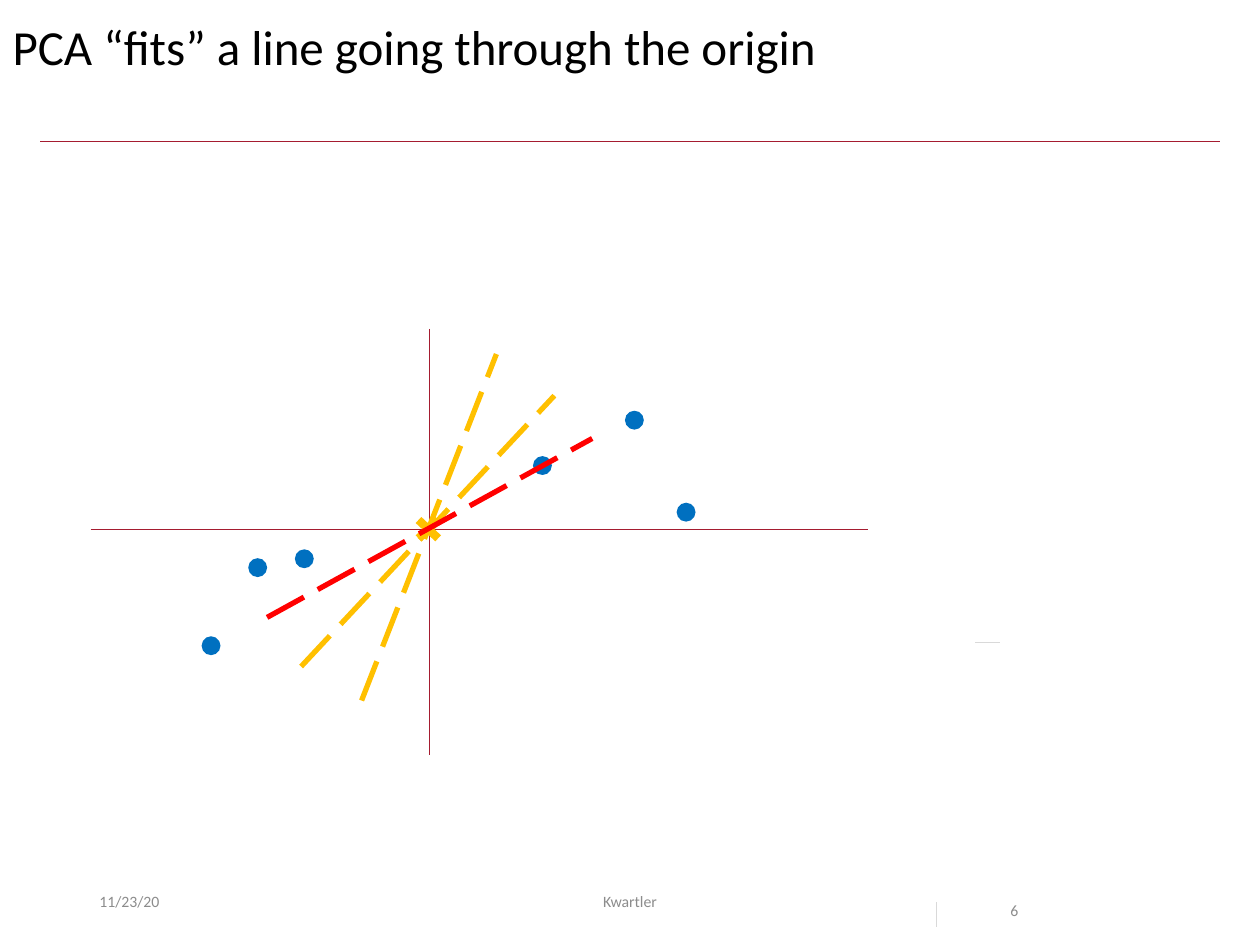
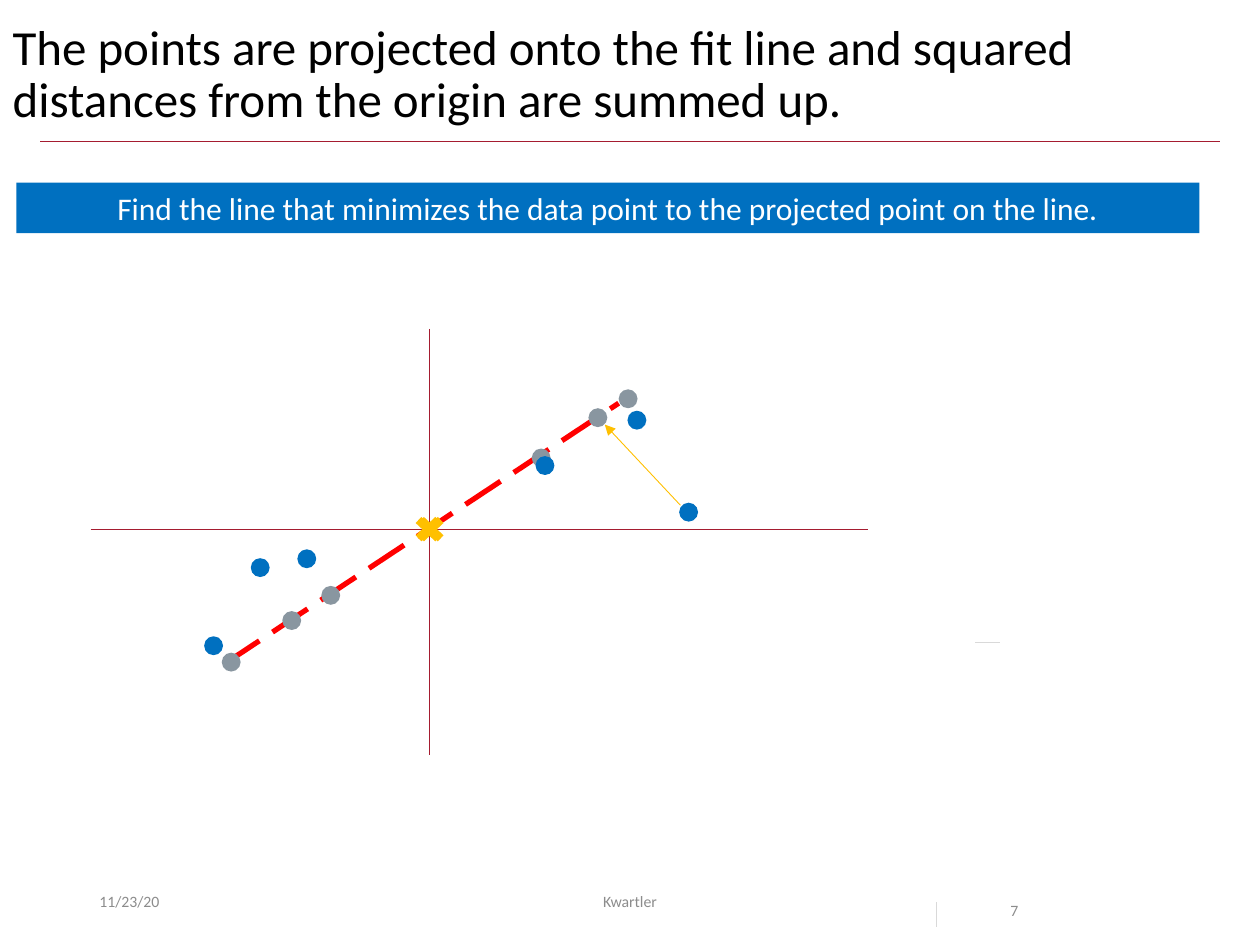
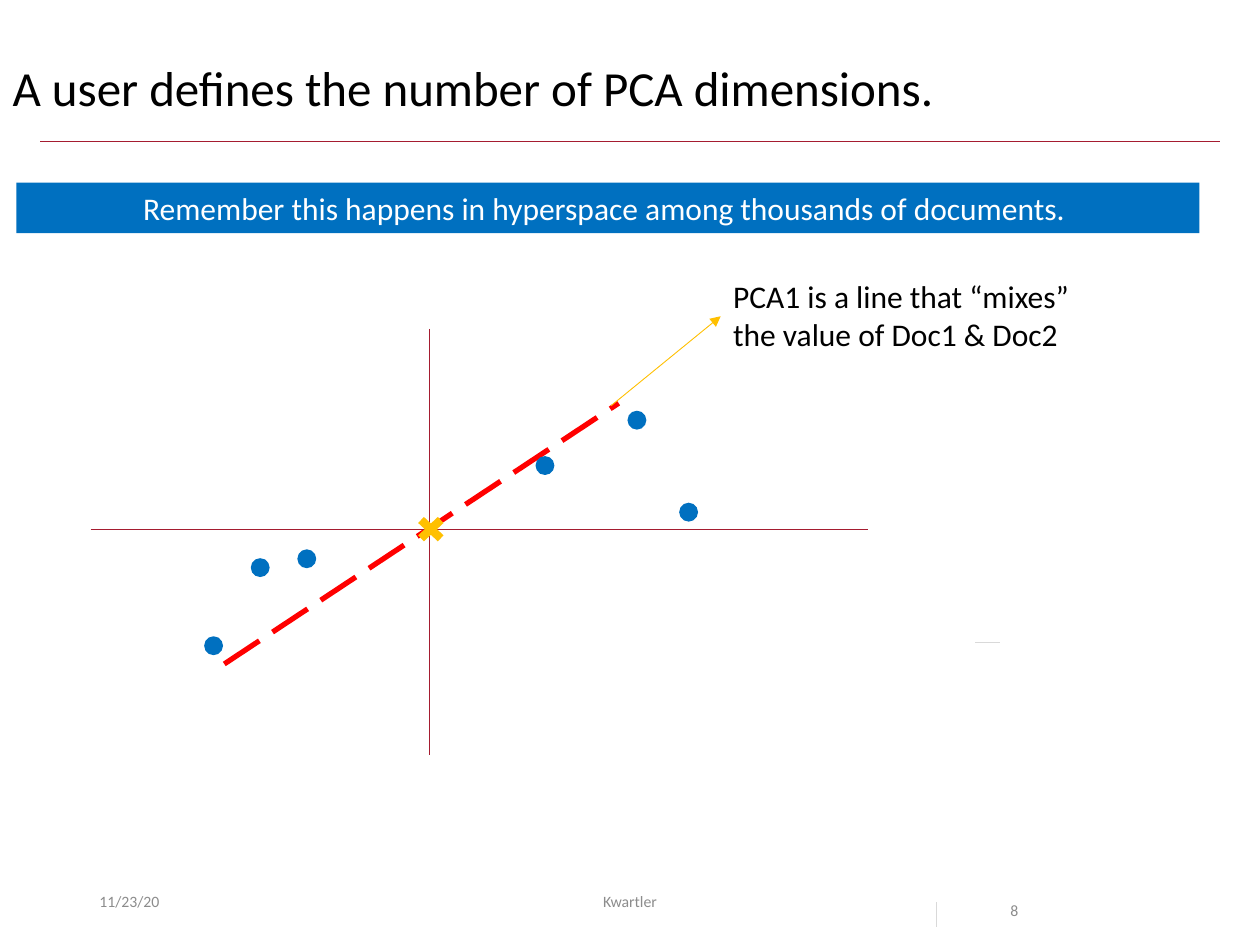
from dataclasses import dataclass

from lxml.etree import SubElement
from pptx import Presentation
from pptx.dml.color import RGBColor as RGB
from pptx.enum.dml import MSO_LINE as Dash
from pptx.enum.shapes import MSO_CONNECTOR as Conn, MSO_SHAPE as Shape
from pptx.enum.text import MSO_ANCHOR as Anchor, MSO_AUTO_SIZE as Fit, PP_ALIGN as Align
from pptx.oxml.ns import qn
from pptx.util import Inches, Pt


@dataclass(frozen=True)
class Theme:
    font: str = "Calibri"
    ink: str = "000000"
    white: str = "FFFFFF"
    crimson: str = "A51C30"
    blue: str = "0070C0"
    gold: str = "FFC000"
    red: str = "FF0000"
    slate: str = "8996A0"
    footer: str = "8C8C8C"
    tick: str = "D9D9D9"
    title_size: int = 28
    body_size: int = 18
    footer_size: int = 9
    thin: float = 0.5
    thick: float = 3


T = Theme()
DOT = 0.15
DATA = [(1.97, 4.43), (2.34, 4.36), (1.6, 5.05), (4.23, 3.62), (5.37, 3.99), (4.96, 3.26)]
PROJECTED = [(2.24, 4.85), (2.55, 4.65), (1.76, 5.18), (4.22, 3.56), (4.67, 3.24), (4.91, 3.09)]
TRIAL_LINES = [((2.87, 5.56), (3.94, 2.81)), ((2.39, 5.29), (4.4, 3.14))]
FIRST_FIT = (2.12, 4.9), (4.7, 3.48)
BEST_FIT = (1.78, 5.27), (4.91, 3.2)


def style(p, size, color, align=Align.LEFT, spacing=None):
    p.font.name = T.font
    p.font.size = Pt(size)
    p.font.color.rgb = RGB.from_string(color)
    p.alignment = align
    if spacing:
        p.line_spacing = spacing


def place(sp, box):
    sp.left, sp.top, sp.width, sp.height = map(Inches, box)


def add_line(shapes, start, end, color, width=T.thin, dash=None, arrow=False):
    c = shapes.add_connector(Conn.STRAIGHT, *map(Inches, (*start, *end)))
    c.line.color.rgb = RGB.from_string(color)
    c.line.width = Pt(width)
    if dash:
        c.line.dash_style = dash
    if arrow:
        SubElement(c.line._get_or_add_ln(), qn("a:tailEnd"), type="triangle")
    SubElement(c.element.spPr, qn("a:effectLst"))
    return c


def add_fit(s, line, color=T.red):
    add_line(s.shapes, *line, color, T.thick, Dash.LONG_DASH)


def add_filled(shapes, kind, box, color):
    sp = shapes.add_shape(kind, *map(Inches, box))
    sp.shadow.inherit = False
    sp.fill.solid()
    sp.fill.fore_color.rgb = RGB.from_string(color)
    sp.line.fill.background()
    return sp


def add_text(s, box, lines, size, color, align=Align.LEFT, anchor=Anchor.TOP, spacing=None, wrap=True):
    tf = s.shapes.add_textbox(*map(Inches, box)).text_frame
    tf.word_wrap = wrap
    tf.vertical_anchor = anchor
    tf.text = lines
    for p in tf.paragraphs:
        style(p, size, color, align, spacing)


def add_banner(s, text):
    tf = add_filled(s.shapes, Shape.RECTANGLE, (0.13, 1.45, 9.39, 0.4), T.blue).text_frame
    tf.text = text
    tf.word_wrap = True
    style(tf.paragraphs[0], T.body_size, T.white, Align.CENTER)


def add_axes(s):
    axes = s.shapes.add_group_shape().shapes
    add_line(axes, (3.41, 2.61), (3.41, 5.99), T.crimson)
    add_line(axes, (0.72, 4.2), (6.89, 4.2), T.crimson)


def add_points(s, points, color, dx=0.0):
    group = s.shapes.add_group_shape().shapes
    add_filled(group, Shape.MATH_MULTIPLY, (3.25 + dx, 4.06, 0.3, 0.28), T.gold)
    for x, y in points:
        add_filled(group, Shape.OVAL, (x + dx, y, DOT, DOT), color)


def add_title(s, text, top, height):
    title = s.shapes.title
    place(title, (0, top, 10, height))
    tf = title.text_frame
    tf.text = text
    tf.word_wrap = True
    tf.auto_size = Fit.NONE
    tf.vertical_anchor = Anchor.TOP
    style(tf.paragraphs[0], T.title_size, T.ink, spacing=0.9)


def add_footer(s, number):
    small = T.footer_size, T.footer
    add_text(s, (0.69, 6.95, 2.25, 0.4), "11/23/20", *small, anchor=Anchor.MIDDLE)
    add_text(s, (3.31, 6.95, 3.38, 0.4), "Kwartler", *small, Align.CENTER, Anchor.MIDDLE)
    add_text(s, (7.92, 6.95, 0.94, 0.4), str(number), *small, spacing=2.0)
    add_line(s.shapes, (7.43, 7.16), (7.43, 7.36), T.tick)
    add_line(s.shapes, (7.74, 5.1), (7.94, 5.1), T.tick)


def add_slide(prs, number, title, top, height):
    s = prs.slides.add_slide(prs.slide_layouts.get_by_name("Title Only"))
    add_title(s, title, top, height)
    add_footer(s, number)
    return s


def add_layout_rule(s):
    rule = add_line(s.shapes, (0.32, 1.12), (9.68, 1.12), T.crimson)
    s.slide_layout.shapes.element.append(rule.element)


def add_trial_slide(prs):
    s = add_slide(prs, 6, "PCA “fits” a line going through the origin", 0.13, 0.65)
    add_layout_rule(s)
    add_axes(s)
    add_points(s, DATA, T.blue)
    for line in TRIAL_LINES:
        add_fit(s, line, T.gold)
    add_fit(s, FIRST_FIT)


def add_projection_slide(prs):
    title = "The points are projected onto the fit line and squared distances from the origin are summed up."
    s = add_slide(prs, 7, title, 0.13, 1.25)
    add_fit(s, BEST_FIT)
    add_axes(s)
    add_points(s, PROJECTED, T.slate)
    add_banner(s, "Find the line that minimizes the data point to the projected point on the line.")
    add_points(s, DATA, T.blue, 0.02)
    add_line(s.shapes, (5.4, 4.01), (4.8, 3.37), T.gold, arrow=True)


def add_dimension_slide(prs):
    s = add_slide(prs, 8, "A user defines the number of PCA dimensions.", 0.46, 0.59)
    add_fit(s, BEST_FIT)
    add_axes(s)
    add_banner(s, "Remember this happens in hyperspace among thousands of documents. ")
    add_points(s, DATA, T.blue, 0.02)
    add_line(s.shapes, (4.85, 3.22), (5.72, 2.51), T.gold, arrow=True)
    label = "PCA1 is a line that “mixes”\nthe value of Doc1 & Doc2"
    add_text(s, (5.72, 2.15, 2.96, 0.71), label, T.body_size, T.ink, wrap=False)


def main():
    prs = Presentation()
    prs.slide_width, prs.slide_height = Inches(10), Inches(7.5)
    add_trial_slide(prs)
    add_projection_slide(prs)
    add_dimension_slide(prs)
    prs.save("out.pptx")


if __name__ == "__main__":
    main()
